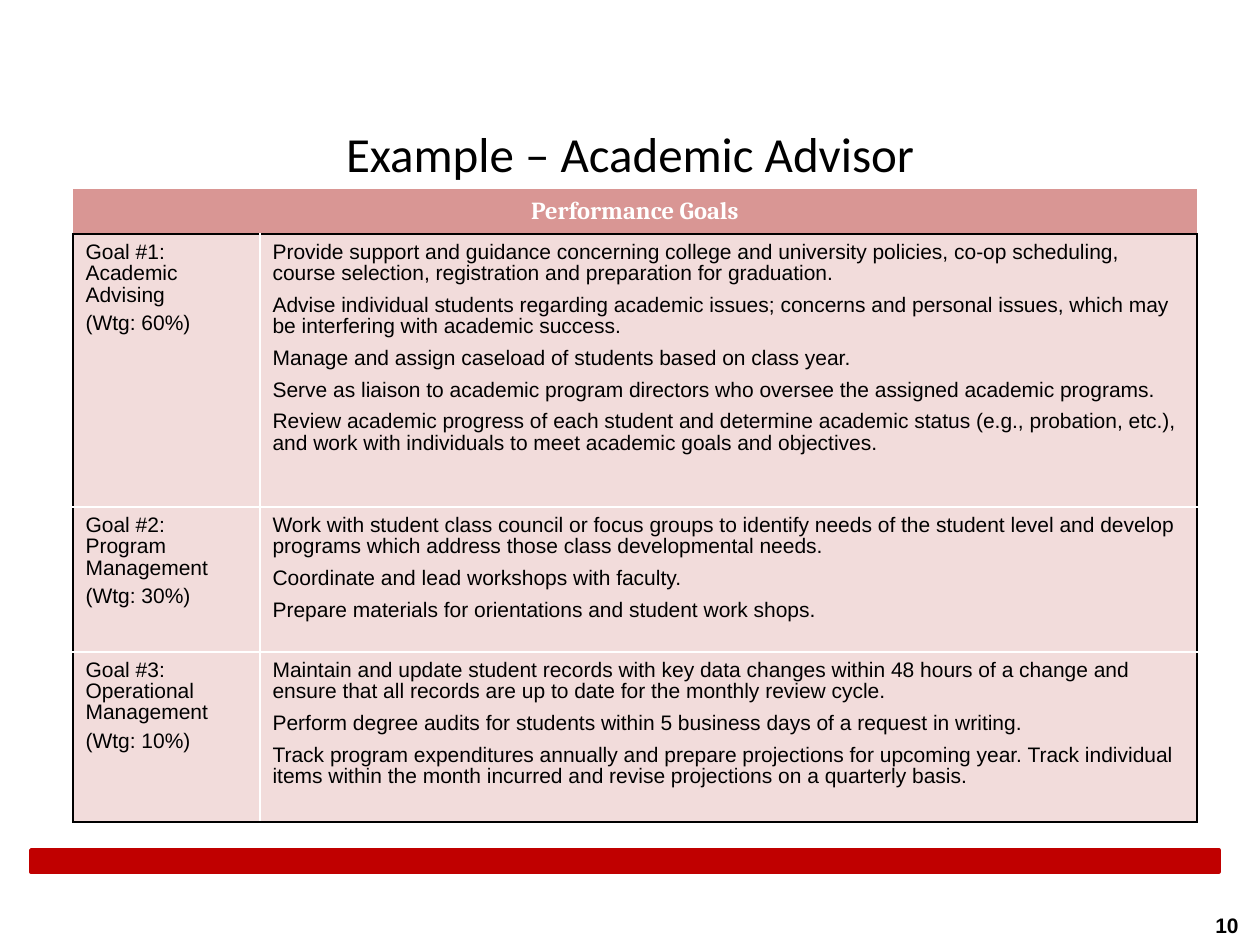
from lxml import etree
from pptx import Presentation
from pptx import util as u
from pptx.dml.color import RGBColor
from pptx.enum import shapes, text
from pptx.oxml import ns

EMU_PER_PIXEL = 914400 // 126
BLACK = RGBColor(0x00, 0x00, 0x00)
WHITE = RGBColor(0xFF, 0xFF, 0xFF)
RED = RGBColor(0xC0, 0x00, 0x00)
ROSE = RGBColor(0xD9, 0x96, 0x94)
PALE_ROSE = RGBColor(0xF2, 0xDC, 0xDB)

COLUMN_WIDTHS = (187, 937)
ROW_HEIGHTS = (45, 273, 145, 170)
GOALS = [
    (["Goal #1: Academic Advising", "(Wtg: 60%)"],
     ["Provide support and guidance concerning college and university policies, "
      "co-op scheduling, course selection, registration and preparation for graduation.",
      "Advise individual students regarding academic issues; concerns and personal "
      "issues, which may be interfering with academic success.",
      "Manage and assign caseload of students based on class year.",
      "Serve as liaison to academic program directors who oversee the assigned "
      "academic programs.",
      "Review academic progress of each student and determine academic status (e.g., "
      "probation, etc.), and work with individuals to meet academic goals and objectives."]),
    (["Goal #2: Program Management", "(Wtg: 30%)"],
     ["Work with student class council or focus groups to identify needs of the student "
      "level and develop programs which address those class developmental needs.",
      "Coordinate and lead workshops with faculty.",
      "Prepare materials for orientations and student work shops."]),
    (["Goal #3: Operational Management", "(Wtg: 10%)"],
     ["Maintain and update student records with key data changes within 48 hours of a "
      "change and ensure that all records are up to date for the monthly review cycle.",
      "Perform degree audits for students within 5 business days of a request in writing.",
      "Track program expenditures annually and prepare projections for upcoming year. "
      "Track individual items within the month incurred and revise projections on a "
      "quarterly basis."]),
]


def px(pixels):
    return u.Emu(pixels * EMU_PER_PIXEL)


def box(*pixels):
    return [px(value) for value in pixels]


def format_text(frame, font, size, color=BLACK, bold=False, align=text.PP_ALIGN.LEFT,
                line_spacing=None, space_before=0):
    for paragraph in frame.paragraphs:
        paragraph.alignment = align
        paragraph.space_before = u.Pt(space_before)
        if line_spacing:
            paragraph.line_spacing = line_spacing
        for run in paragraph.runs:
            run.font.name = font
            run.font.size = u.Pt(size)
            run.font.bold = bold
            run.font.color.rgb = color


def set_borders(cell, **colors):
    """Draw 1 pt cell edges; an edge without a colour is hidden."""
    properties = cell._tc.get_or_add_tcPr()
    for edge in "LRTB":
        line = etree.SubElement(properties, ns.qn(f"a:ln{edge}"), w=str(u.Pt(1)))
        color = colors.get(edge)
        if color is None:
            etree.SubElement(line, ns.qn("a:noFill"))
        else:
            fill = etree.SubElement(line, ns.qn("a:solidFill"))
            etree.SubElement(fill, ns.qn("a:srgbClr"), val=str(color))


def fill_cell(cell, lines, fill, borders, **text_format):
    cell.text_frame.text = "\n".join(lines)
    cell.margin_left = cell.margin_right = u.Inches(0.1)
    cell.margin_top = cell.margin_bottom = u.Inches(0.07)
    set_borders(cell, **borders)
    cell.fill.solid()
    cell.fill.fore_color.rgb = fill
    format_text(cell.text_frame, line_spacing=0.9, **text_format)


def add_red_bar(slide):
    bar = slide.shapes.add_shape(shapes.MSO_SHAPE.RECTANGLE, *box(31, 850, 1188, 22))
    bar.shadow.inherit = False
    bar.fill.solid()
    bar.fill.fore_color.rgb = RED
    bar.line.color.rgb = RED
    bar.line.width = u.Pt(2)


def set_title(slide):
    title = slide.shapes.title
    title.left, title.top, title.width, title.height = box(63, 116, 1134, 74)
    frame = title.text_frame
    frame.text = "Example – Academic Advisor"
    frame.auto_size = text.MSO_AUTO_SIZE.NONE
    frame.vertical_anchor = text.MSO_ANCHOR.MIDDLE
    format_text(frame, "Calibri", 28, align=text.PP_ALIGN.CENTER)


def add_page_number(slide):
    page_number = slide.shapes.add_textbox(*box(989, 902, 262, 42))
    frame = page_number.text_frame
    frame.word_wrap = True
    frame.vertical_anchor = text.MSO_ANCHOR.BOTTOM
    frame.text = "10"
    format_text(frame, "Arial", 12, bold=True, align=text.PP_ALIGN.RIGHT)


def add_goals_table(slide):
    goals = slide.shapes.add_table(
        len(ROW_HEIGHTS), len(COLUMN_WIDTHS),
        *box(73, 189, sum(COLUMN_WIDTHS), sum(ROW_HEIGHTS))).table
    goals.horz_banding = False
    for column, width in zip(goals.columns, COLUMN_WIDTHS):
        column.width = px(width)
    for row, height in zip(goals.rows, ROW_HEIGHTS):
        row.height = px(height)

    # Header across both columns
    heading = goals.cell(0, 0)
    heading.merge(goals.cell(0, 1))
    fill_cell(heading, ["Performance Goals"], ROSE, {"B": BLACK}, font="Cambria",
              size=14, color=WHITE, bold=True, align=text.PP_ALIGN.CENTER)
    heading.vertical_anchor = text.MSO_ANCHOR.MIDDLE
    set_borders(goals.cell(0, 1), B=BLACK)

    # Goals: black outline, white inner lines
    for row, (goal, duties) in enumerate(GOALS, start=1):
        top = BLACK if row == 1 else WHITE
        bottom = BLACK if row == len(GOALS) else WHITE
        fill_cell(goals.cell(row, 0), goal, PALE_ROSE,
                  {"L": BLACK, "R": WHITE, "T": top, "B": bottom},
                  font="Arial", size=12, space_before=4.2)
        fill_cell(goals.cell(row, 1), duties, PALE_ROSE,
                  {"L": WHITE, "R": BLACK, "T": top, "B": bottom},
                  font="Arial", size=12, space_before=6)


def main():
    deck = Presentation()
    deck.slide_width, deck.slide_height = px(1260), px(945)
    slide = deck.slides.add_slide(deck.slide_layouts.get_by_name("Title Only"))
    add_red_bar(slide)
    add_page_number(slide)
    set_title(slide)
    add_goals_table(slide)
    deck.save("out.pptx")


main()
